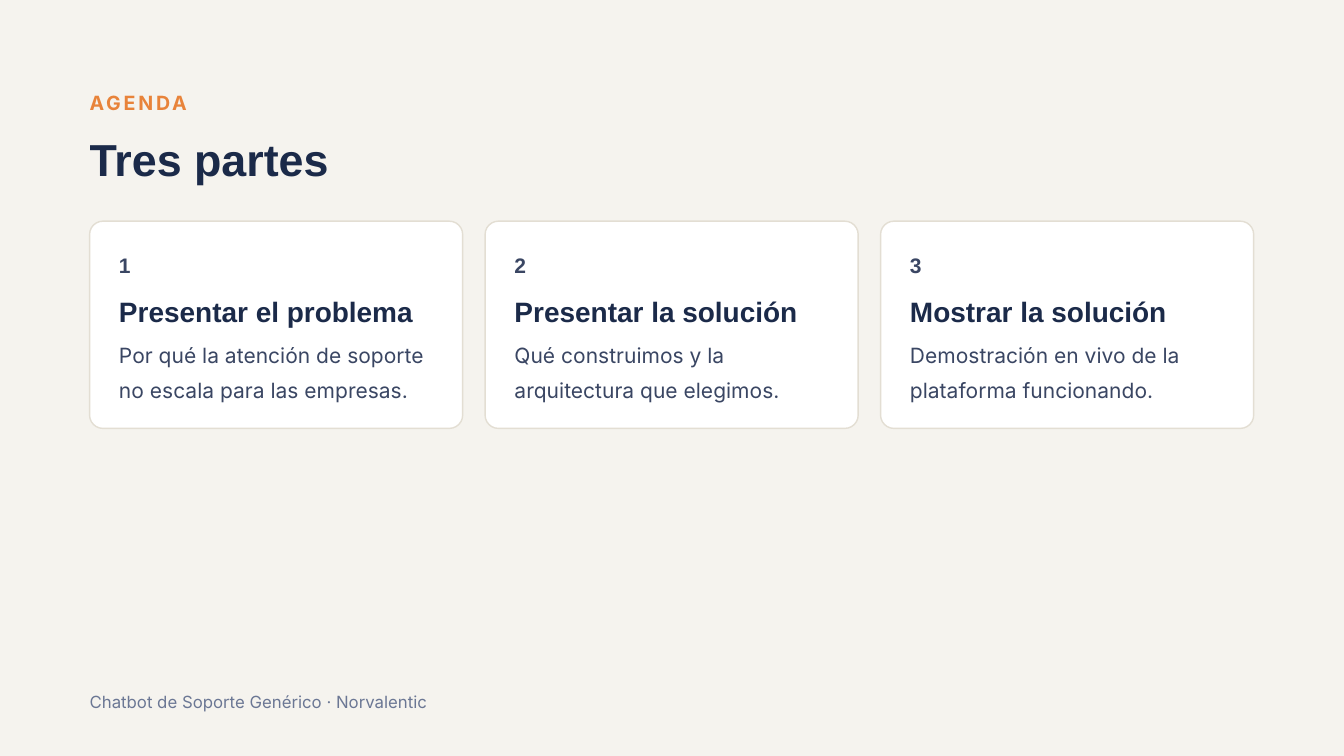
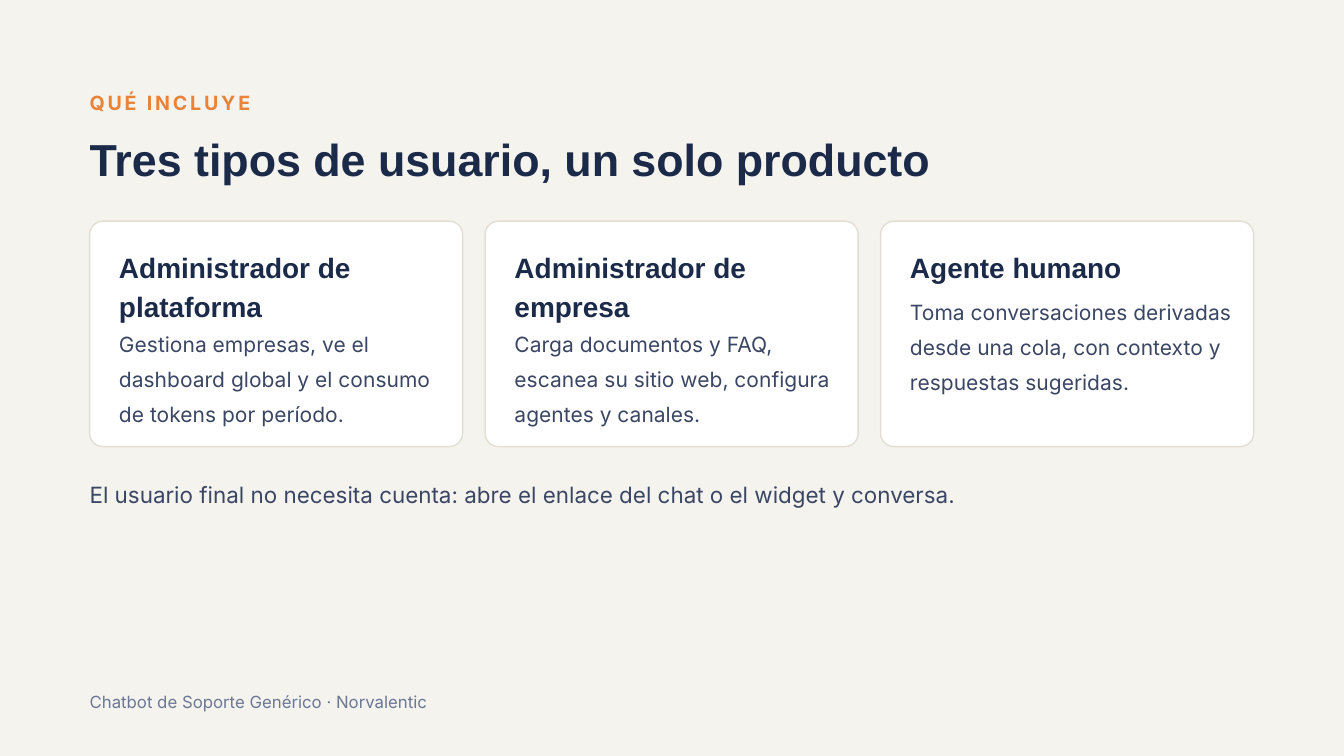
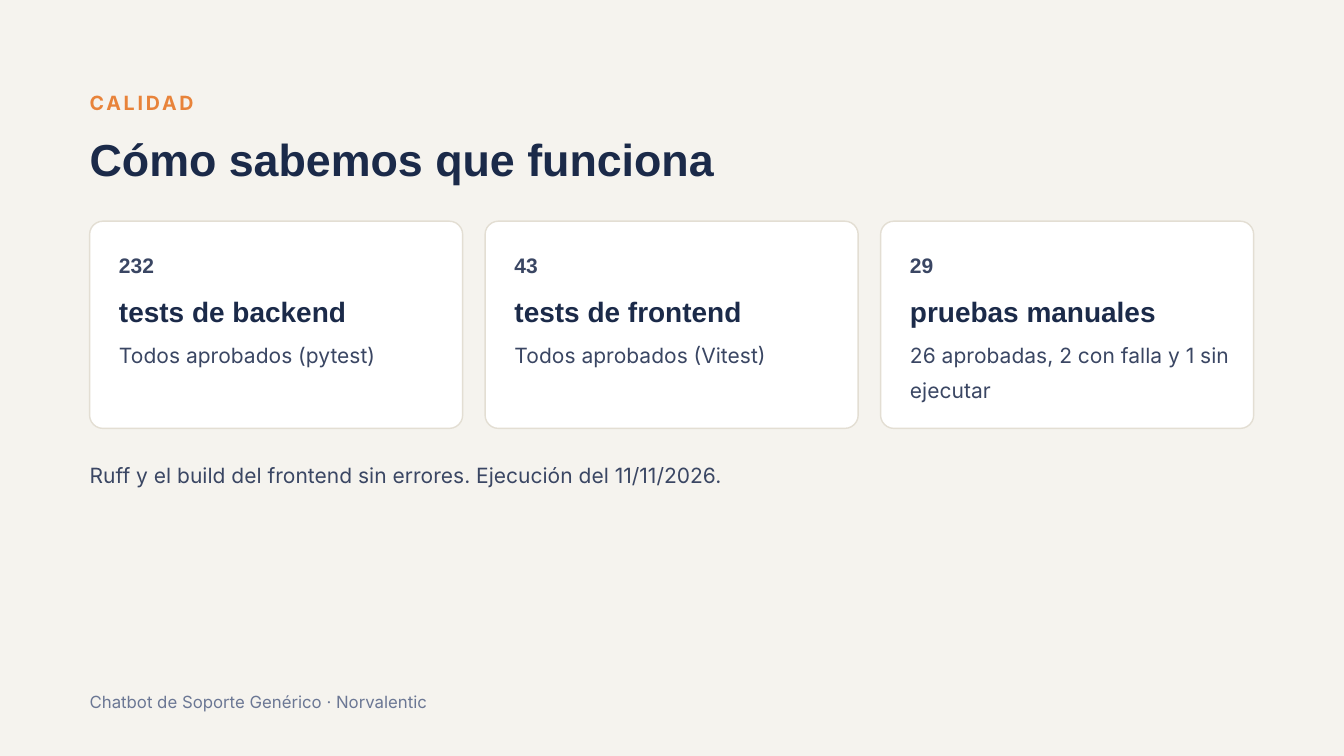
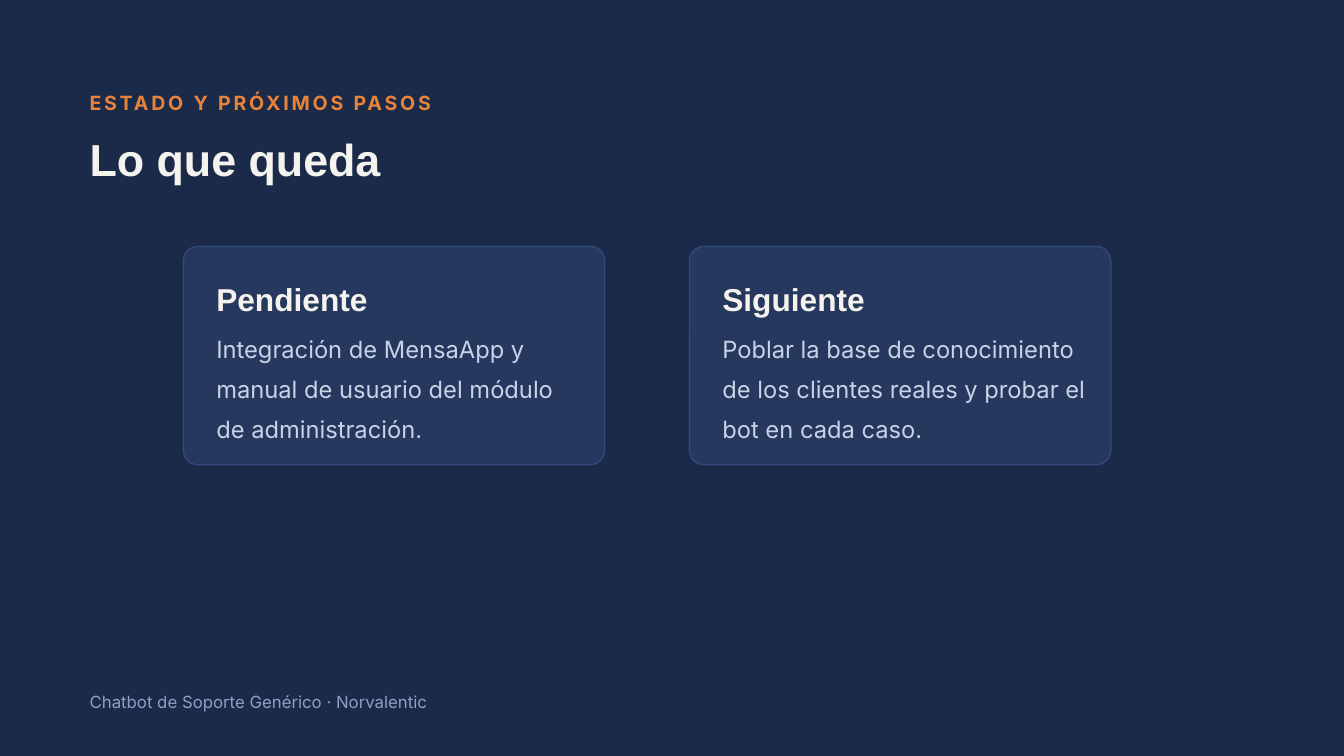
from dataclasses import dataclass, replace
from typing import Any

import pptx
import pptx.dml.color
import pptx.enum.shapes
import pptx.enum.text
import pptx.shapes.autoshape
import pptx.slide
import pptx.util

PX = 9525
PAGE_WIDTH, PAGE_HEIGHT = 1920, 1080
MARGIN = 128
TEXT_WIDTH = 1714
CARD_GAP = 32
TITLE_ONLY_LAYOUT = 5
FOOTER = "Chatbot de Soporte Genérico · Norvalentic"


@dataclass(frozen=True)
class Box:
    left: int
    top: int
    width: int
    height: int

    def emu(self) -> list[int]:
        return [side * PX for side in (self.left, self.top, self.width, self.height)]


@dataclass(frozen=True)
class TextStyle:
    font: str
    size: float
    color: str
    leading: float
    bold: bool = False
    tracking: int = 0


@dataclass(frozen=True)
class Theme:
    background: str
    card_fill: str
    card_line: str
    eyebrow: TextStyle
    title: TextStyle
    number: TextStyle
    heading: TextStyle
    body: TextStyle
    note: TextStyle
    footer: TextStyle


LIGHT = Theme(
    background="F5F3EE",
    card_fill="FFFFFF",
    card_line="E3DED3",
    eyebrow=TextStyle("Inter", 21, "E8833A", 1.44, bold=True, tracking=300),
    title=TextStyle("Arial", 48, "1B2A49", 1.32, bold=True),
    number=TextStyle("Arial", 22.5, "3A4663", 1.68, bold=True),
    heading=TextStyle("Arial", 30, "1B2A49", 1.38, bold=True),
    body=TextStyle("Inter", 22.5, "3A4663", 1.68),
    note=TextStyle("Inter", 24, "3A4663", 1.44),
    footer=TextStyle("Inter", 18, "6B7794", 1.44),
)
DARK = replace(
    LIGHT,
    background="1B2A49",
    card_fill="26385E",
    card_line="33487A",
    title=replace(LIGHT.title, color="F5F3EE"),
    heading=replace(LIGHT.heading, size=33.9, color="F5F3EE"),
    body=replace(LIGHT.body, size=25.4, color="C9D3E8"),
    footer=replace(LIGHT.footer, color="8FA0C4"),
)


@dataclass(frozen=True)
class CardGrid:
    left: int
    top: int
    width: int
    height: int
    gap: int
    radius: int
    inset: int
    text_width: int
    heading_offset: int
    first_line: int
    heading_line: int
    body_line: int
    body_gap: int


THREE_CARDS = CardGrid(
    left=MARGIN, top=316, width=(PAGE_WIDTH - 2 * MARGIN - 2 * CARD_GAP) // 3, height=322,
    gap=CARD_GAP, radius=19, inset=42, text_width=463, heading_offset=35,
    first_line=57, heading_line=46, body_line=42, body_gap=5,
)
NUMBERED_CARDS = replace(THREE_CARDS, height=296, heading_offset=97)
TWO_CARDS = CardGrid(
    left=262, top=352, width=602, height=312, gap=121, radius=21, inset=47,
    text_width=523, heading_offset=40, first_line=64, heading_line=52,
    body_line=47, body_gap=6,
)
NUMBER_OFFSET = 30


@dataclass(frozen=True)
class Card:
    heading: str
    body: str
    number: str = ""
    heading_lines: int = 1
    body_lines: int = 2


@dataclass(frozen=True)
class Note:
    text: str
    top: int
    size: float


@dataclass(frozen=True)
class PageContent:
    eyebrow: str
    title: str
    grid: CardGrid
    cards: tuple[Card, ...]
    theme: Theme = LIGHT
    note: Note | None = None


PAGES = (
    PageContent("AGENDA", "Tres partes", NUMBERED_CARDS, (
        Card("Presentar el problema",
             "Por qué la atención de soporte no escala para las empresas.", "1"),
        Card("Presentar la solución",
             "Qué construimos y la arquitectura que elegimos.", "2"),
        Card("Mostrar la solución",
             "Demostración en vivo de la plataforma funcionando.", "3"),
    )),
    PageContent("QUÉ INCLUYE", "Tres tipos de usuario, un solo producto", THREE_CARDS, (
        Card("Administrador de plataforma",
             "Gestiona empresas, ve el dashboard global y el consumo de tokens por período.",
             heading_lines=2, body_lines=3),
        Card("Administrador de empresa",
             "Carga documentos y FAQ, escanea su sitio web, configura agentes y canales.",
             heading_lines=2, body_lines=3),
        Card("Agente humano",
             "Toma conversaciones derivadas desde una cola, con contexto y respuestas sugeridas.",
             body_lines=4),
    ), note=Note(
        "El usuario final no necesita cuenta: abre el enlace del chat o el widget y conversa.",
        680, 24)),
    PageContent("CALIDAD", "Cómo sabemos que funciona", NUMBERED_CARDS, (
        Card("tests de backend", "Todos aprobados (pytest)", "232", body_lines=1),
        Card("tests de frontend", "Todos aprobados (Vitest)", "43", body_lines=1),
        Card("pruebas manuales", "26 aprobadas, 2 con falla y 1 sin ejecutar", "29"),
    ), note=Note(
        "Ruff y el build del frontend sin errores. Ejecución del 11/11/2026.", 654, 22.5)),
    PageContent("ESTADO Y PRÓXIMOS PASOS", "Lo que queda", TWO_CARDS, (
        Card("Pendiente",
             "Integración de MensaApp y manual de usuario del módulo de administración.",
             body_lines=3),
        Card("Siguiente",
             "Poblar la base de conocimiento de los clientes reales y probar el bot en cada caso.",
             body_lines=3),
    ), theme=DARK),
)


def rgb(color: str) -> pptx.dml.color.RGBColor:
    return pptx.dml.color.RGBColor.from_string(color)


def apply_format(target: Any, values: dict[str, Any]) -> None:
    for name, value in values.items():
        setattr(target, name, value)


def write_text(shape: pptx.shapes.autoshape.Shape, text: str, style: TextStyle) -> None:
    frame = shape.text_frame
    apply_format(frame, {
        "margin_left": 0, "margin_top": 0, "margin_right": 0, "margin_bottom": 0,
        "word_wrap": True,
        "vertical_anchor": pptx.enum.text.MSO_ANCHOR.TOP,
        "auto_size": pptx.enum.text.MSO_AUTO_SIZE.SHAPE_TO_FIT_TEXT,
    })
    para = frame.paragraphs[0]
    apply_format(para, {
        "alignment": pptx.enum.text.PP_ALIGN.LEFT,
        "line_spacing": pptx.util.Pt(round(style.size * style.leading, 1)),
    })
    span = para.add_run()
    span.text = text
    apply_format(span.font, {
        "name": style.font, "size": pptx.util.Pt(style.size), "bold": style.bold,
    })
    span.font.color.rgb = rgb(style.color)
    if style.tracking:
        span._r.get_or_add_rPr().set("spc", str(style.tracking))


def add_text(page: pptx.slide.Slide, box: Box, text: str, style: TextStyle) -> None:
    write_text(page.shapes.add_textbox(*box.emu()), text, style)


def add_title(page: pptx.slide.Slide, text: str, style: TextStyle) -> None:
    title = page.shapes.title
    left, top, width, height = Box(MARGIN, 181, TEXT_WIDTH, 83).emu()
    apply_format(title, {"left": left, "top": top, "width": width, "height": height})
    write_text(title, text, style)


def add_card(page: pptx.slide.Slide, card: Card, index: int, grid: CardGrid,
             theme: Theme) -> None:
    left = grid.left + index * (grid.width + grid.gap)
    panel = page.shapes.add_shape(
        pptx.enum.shapes.MSO_SHAPE.ROUNDED_RECTANGLE,
        *Box(left, grid.top, grid.width, grid.height).emu(),
    )
    panel.adjustments[0] = grid.radius / min(grid.width, grid.height)
    panel.shadow.inherit = False
    panel.fill.solid()
    panel.fill.fore_color.rgb = rgb(theme.card_fill)
    panel.line.color.rgb = rgb(theme.card_line)
    panel.line.width = pptx.util.Pt(1.5)

    text_left = left + grid.inset
    if card.number:
        number_box = Box(text_left, grid.top + NUMBER_OFFSET, grid.text_width, 58)
        add_text(page, number_box, card.number, theme.number)
    heading_top = grid.top + grid.heading_offset
    heading_height = grid.first_line + (card.heading_lines - 1) * grid.heading_line
    add_text(page, Box(text_left, heading_top, grid.text_width, heading_height),
             card.heading, theme.heading)
    body_top = heading_top + heading_height + grid.body_gap
    body_height = grid.first_line + (card.body_lines - 1) * grid.body_line
    add_text(page, Box(text_left, body_top, grid.text_width, body_height),
             card.body, theme.body)


def add_page(deck: Any, content: PageContent) -> None:
    theme = content.theme
    page = deck.slides.add_slide(deck.slide_layouts[TITLE_ONLY_LAYOUT])
    page.background.fill.solid()
    page.background.fill.fore_color.rgb = rgb(theme.background)
    add_text(page, Box(MARGIN, 123, TEXT_WIDTH, 42), content.eyebrow, theme.eyebrow)
    add_title(page, content.title, theme.title)
    for index, card in enumerate(content.cards):
        add_card(page, card, index, content.grid, theme)
    if content.note:
        add_text(page, Box(MARGIN, content.note.top, TEXT_WIDTH, 47),
                 content.note.text, replace(theme.note, size=content.note.size))
    add_text(page, Box(MARGIN, 983, TEXT_WIDTH, 36), FOOTER, theme.footer)


def main() -> None:
    deck = pptx.Presentation()
    apply_format(deck, {"slide_width": PAGE_WIDTH * PX, "slide_height": PAGE_HEIGHT * PX})
    for content in PAGES:
        add_page(deck, content)
    deck.save("out.pptx")


if __name__ == "__main__":
    main()
